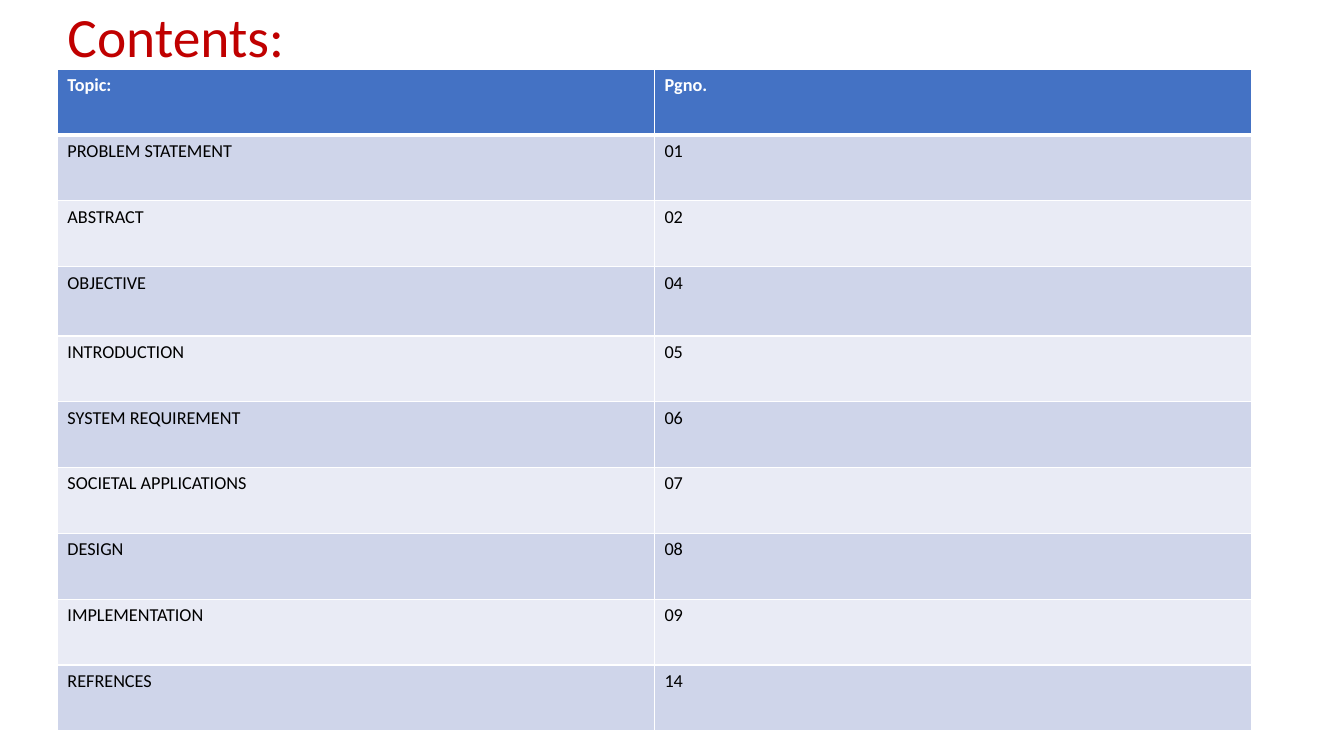
from lxml import etree
from pptx import Presentation
from pptx.dml.color import RGBColor
from pptx.enum.text import MSO_ANCHOR, MSO_AUTO_SIZE, PP_ALIGN
from pptx.oxml.ns import qn
from pptx.util import Pt

PX = 6350  # 144 px to the inch
LEFT = PP_ALIGN.LEFT
TOP, MIDDLE = MSO_ANCHOR.TOP, MSO_ANCHOR.MIDDLE
NO_AUTOFIT = MSO_AUTO_SIZE.NONE

RED = RGBColor(0xC0, 0x00, 0x00)
BLACK = RGBColor(0x00, 0x00, 0x00)
WHITE = RGBColor(0xFF, 0xFF, 0xFF)
HEADER_BLUE = RGBColor(0x44, 0x72, 0xC4)
BAND_DARK = RGBColor(0xCF, 0xD5, 0xEA)
BAND_LIGHT = RGBColor(0xE9, 0xEB, 0xF5)

CONTENTS = [
    ("Topic:", "Pgno."),
    ("PROBLEM STATEMENT", "01"),
    ("ABSTRACT", "02"),
    ("OBJECTIVE", "04"),
    ("INTRODUCTION", "05"),
    ("SYSTEM REQUIREMENT", "06"),
    ("SOCIETAL APPLICATIONS", "07"),
    ("DESIGN", "08"),
    ("IMPLEMENTATION", "09"),
    ("REFRENCES", "14"),
]
ROW_HEIGHT, TALL_ROW_HEIGHT = 94, 99
TALL_ROW = 3


def px(n):
    return n * PX


def write(tf, text, size, color, bold=False, spacing=1.0):
    p = tf.paragraphs[0]
    p.alignment = LEFT
    p.line_spacing = spacing
    r = p.add_run()
    r.text = text
    r.font.name = "Calibri"
    r.font.size = Pt(size)
    r.font.bold = bold
    r.font.color.rgb = color


def set_borders(cell, top, bottom):
    """Draw white cell borders; top and bottom widths are in points."""
    tc_pr = cell._tc.get_or_add_tcPr()
    for side, width in (("L", 1), ("R", 1), ("T", top), ("B", bottom)):
        ln = etree.SubElement(tc_pr, qn(f"a:ln{side}"), w=str(Pt(width)))
        fill = etree.SubElement(ln, qn("a:solidFill"))
        etree.SubElement(fill, qn("a:srgbClr"), val=str(WHITE))


def add_title(slide, x, y, w, h):
    sp = slide.shapes.title
    sp.left, sp.top, sp.width, sp.height = px(x), px(y), px(w), px(h)
    tf = sp.text_frame
    tf.auto_size = NO_AUTOFIT
    tf.word_wrap = True
    tf.vertical_anchor = MIDDLE
    write(tf, "Contents:", 39.6, RED, spacing=0.9)


def add_contents_table(slide, x, y, w, h):
    columns = len(CONTENTS[0])
    table = slide.shapes.add_table(
        len(CONTENTS), columns, px(x), px(y), px(w), px(h)).table
    for column in table.columns:
        column.width = px(w // columns)
    for i, entry in enumerate(CONTENTS):
        table.rows[i].height = px(TALL_ROW_HEIGHT if i == TALL_ROW else ROW_HEIGHT)
        header = i == 0
        band = HEADER_BLUE if header else BAND_DARK if i % 2 else BAND_LIGHT
        for j, text in enumerate(entry):
            cell = table.cell(i, j)
            set_borders(cell, top=3 if i == 1 else 1, bottom=3 if header else 1)
            cell.fill.solid()
            cell.fill.fore_color.rgb = band
            cell.vertical_anchor = TOP
            write(cell.text_frame, text, 13, WHITE if header else BLACK, bold=header)


def main():
    prs = Presentation()
    prs.slide_width, prs.slide_height = px(1920), px(1080)
    slide = prs.slides.add_slide(prs.slide_layouts[5])
    add_title(slide, 82, 13, 1656, 86)
    add_contents_table(slide, 82, 99, 1706, 945)
    prs.save("out.pptx")


if __name__ == "__main__":
    main()
